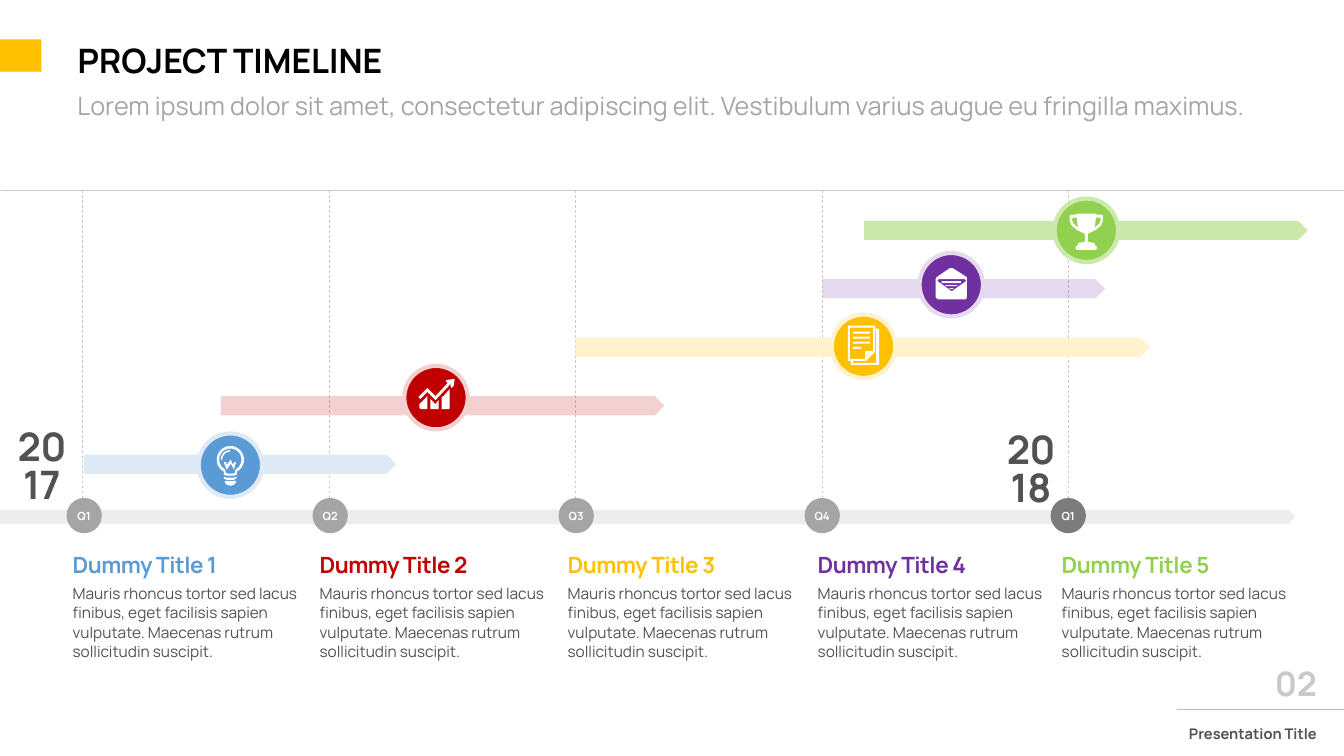
from math import cos, radians, sin

from lxml.etree import SubElement
from pptx import Presentation
from pptx.dml.color import RGBColor
from pptx.enum.dml import MSO_LINE
from pptx.enum.shapes import MSO_CONNECTOR, MSO_SHAPE
from pptx.enum.text import MSO_ANCHOR, PP_ALIGN
from pptx.oxml.ns import qn
from pptx.util import Inches, Pt

COLORS = {
    "black": "000000", "white": "FFFFFF", "text": "525252", "subtitle": "A5A5A5",
    "rule": "C9C9C9", "axis": "EDEDED", "quarter": "A5A5A5", "next_year": "7C7C7C",
    "blue": "5B9BD5", "blue_tint": "DEEBF7", "red": "C00000", "red_tint": "F4D1D1",
    "yellow": "FFC000", "yellow_tint": "FFF2CC", "purple": "7030A0",
    "purple_tint": "E5DAEE", "green": "92D050", "green_tint": "CBE9AB",
}
RGB = {name: RGBColor.from_string(value) for name, value in COLORS.items()}
BODY = ("Mauris rhoncus tortor sed lacus finibus, eget facilisis sapien vulputate. "
        "Maecenas rutrum sollicitudin suscipit.")

# Icon outlines in hundredths of an inch; inner outlines cut holes.
globe, glass, glint_out, glint_in = [
    [(13.5 + radius * cos(radians(a)), 13 + radius * sin(radians(a)))
     for a in range(start, end + 1, 8)]
    for radius, start, end in ((13.5, 118, 422), (11, 118, 422), (9.5, 180, 270), (8, 180, 270))
]
BULB = [
    globe + [(20, 28), (17, 29), (10, 29), (7, 28)],
    glass + [(18, 26), (16, 27), (11, 27), (9, 26)],
    glint_out + glint_in[::-1],
    [(16, 18), (14, 13), (10, 18), (9, 15), (7, 16), (10, 23), (14, 17), (17, 23),
     (19, 16), (18, 15)],
    [(7, 30), (10, 31), (17, 31), (20, 30), (19, 32), (17, 33), (10, 33), (7, 32)],
    [(8, 34), (19, 34), (19, 36), (17, 38), (14, 39), (10, 38), (8, 36)],
]
GROWTH = [
    [(1, 29), (3, 30), (9, 30), (9, 17), (1, 25)],
    [(12, 20), (12, 30), (20, 30), (20, 21), (17, 25)],
    [(23, 18), (23, 30), (30, 30), (31, 29), (31, 10), (25, 17)],
    [(28, 1), (27, 2), (29, 4), (30, 3), (17, 17), (9, 9), (0, 18), (2, 20), (9, 13),
     (17, 21), (32, 5), (32, 7), (33, 9), (35, 7), (36, 0)],
]
PAGES = [
    [(27, 3), (27, 0), (0, 0), (0, 35), (3, 35), (3, 39), (31, 39), (31, 3)],
    [(2, 33), (2, 2), (25, 2), (25, 25), (17, 25), (17, 33)],
    [(28, 37), (5, 37), (5, 35), (18, 35), (27, 26), (27, 5), (28, 5)],
] + [[(5, y), (right, y), (right, y + 2), (5, y + 2)]
     for y, right in ((6, 22), (11, 22), (16, 22), (21, 13))]
ENVELOPE = [
    [(31, 10), (17, 1), (14, 1), (1, 10), (0, 12), (0, 30), (2, 32), (30, 32), (31, 30)],
    [(30, 14), (16, 24), (2, 14), (2, 13), (3, 12), (29, 12), (30, 13)],
    [(11, 19), (20, 19), (22, 18), (9, 18)],
    [(16, 22), (18, 21), (13, 21)],
    [(6, 16), (25, 16), (25, 14), (6, 14)],
]
cup_left = [(7, 0), (6, 1), (1, 1), (0, 2), (0, 7), (2, 12), (7, 16), (15, 20), (15, 28),
            (9, 29), (8, 30), (8, 31), (6, 33), (6, 35), (7, 36)]
handle = [(2, 6), (2, 5), (4, 4), (7, 4), (8, 14), (4, 10)]
TROPHY = [cup_left + [(33 - x, y) for x, y in cup_left[::-1]],
          handle, [(33 - x, y) for x, y in handle]]

# Colour, bar left, bar width, bar opacity, badge corner, icon offset, icon, text left
TASKS = [
    ("blue", 0.83, 3.1, None, (1.97, 4.3), (0.18, 0.13), BULB, 0.72),
    ("red", 2.19, 4.4, 18, (4.01, 3.63), (0.14, 0.13), GROWTH, 3.17),
    ("yellow", 5.71, 5.7, None, (8.25, 3.12), (0.16, 0.11), PAGES, 5.63),
    ("purple", 8.16, 2.8, 18, (9.12, 2.51), (0.16, 0.14), ENVELOPE, 8.11),
    ("green", 8.57, 4.4, 48, (10.46, 1.97), (0.15, 0.15), TROPHY, 10.53),
]

deck = Presentation()
deck.slide_width, deck.slide_height = Inches(13.33), Inches(7.5)
slide = deck.slides.add_slide(deck.slide_layouts[5])
shapes = slide.shapes


def write(holder, words, size, color, bold=False, align=PP_ALIGN.LEFT, leading=None,
          tracking=None, margins=(0, 0), anchor=MSO_ANCHOR.TOP):
    """Fill a shape with one formatted run; margins are side and top/bottom inches."""
    frame = holder.text_frame
    frame.word_wrap = True
    frame.vertical_anchor = anchor
    frame.margin_left = frame.margin_right = Inches(margins[0])
    frame.margin_top = frame.margin_bottom = Inches(margins[1])
    paragraph = frame.paragraphs[0]
    paragraph.alignment = align
    paragraph.line_spacing = leading
    run = paragraph.add_run()
    run.text = words
    run.font.name, run.font.size, run.font.bold = "Manrope", Pt(size), bold
    run.font.color.rgb = RGB[color]
    if tracking:
        run._r.get_or_add_rPr().set("spc", str(tracking))


def add_solid(kind, box, color):
    """Add a flat preset shape without outline or shadow."""
    solid = shapes.add_shape(kind, *map(Inches, box))
    solid.shadow.inherit = False
    solid.fill.solid()
    solid.fill.fore_color.rgb = RGB[color]
    solid.line.fill.background()
    return solid


# Header and footer text
title = shapes.title
title.left, title.top, title.width, title.height = map(Inches, (0.67, 0.39, 11, 0.65))
write(title, "PROJECT TIMELINE", 24, "black", True, leading=0.9, margins=(0.1, 0.05))
add_solid(MSO_SHAPE.RECTANGLE, (0, 0.39, 0.41, 0.32), "yellow")
for box, words, size, color, bold, align, leading in (
    ((0.67, 0.88, 12.18, 0.66),
     "Lorem ipsum dolor sit amet, consectetur adipiscing elit. "
     "Vestibulum varius augue eu fringilla maximus.",
     18, "subtitle", False, PP_ALIGN.LEFT, 0.9),
    ((12.06, 6.57, 1.1, 0.65), "02", 24, "rule", True, PP_ALIGN.RIGHT, 0.9),
    ((10.6, 7.14, 2.56, 0.29), "Presentation Title", 10.5, "text", True, PP_ALIGN.RIGHT, None),
):
    write(shapes.add_textbox(*map(Inches, box)), words, size, color, bold, align, leading,
          margins=(0.1, 0.05))

# Axis and rules
add_solid(MSO_SHAPE.PENTAGON, (0, 5.06, 12.85, 0.14), "axis")
grid_lines = [(0.82 + 2.445 * i, 1.89, 0.82 + 2.445 * i, 4.98, "rule", True) for i in range(5)]
for x1, y1, x2, y2, color, dashed in grid_lines + [
    (0.01, 1.89, 13.33, 1.89, "rule", False),
    (11.67, 7.04, 13.33, 7.04, "yellow", False),
]:
    rule = shapes.add_connector(MSO_CONNECTOR.STRAIGHT, *map(Inches, (x1, y1, x2, y2)))
    rule.line.color.rgb = RGB[color]
    rule.line.width = Pt(0.5)
    if dashed:
        rule.line.dash_style = MSO_LINE.DASH
    SubElement(rule._element.spPr, qn("a:effectLst"))

for year, left, top in (("2017", 0.13, 4.28), ("2018", 9.94, 4.31)):
    write(shapes.add_textbox(*map(Inches, (left, top, 0.57, 0.75))), year, 28, "text", True,
          PP_ALIGN.CENTER, 0.8, -30)

for i, quarter in enumerate(("Q1", "Q2", "Q3", "Q4", "Q1")):
    marker = add_solid(MSO_SHAPE.OVAL, (0.66 + 2.44 * i, 4.94, 0.35, 0.35),
                       "next_year" if i == 4 else "quarter")
    write(marker, quarter, 8, "white", True, PP_ALIGN.CENTER, margins=(0, 0.05),
          anchor=MSO_ANCHOR.MIDDLE)

# Tasks: bar, badge with icon, description
for i, (color, start, length, opacity, corner, offset, icon, text_left) in enumerate(TASKS):
    bar = add_solid(MSO_SHAPE.PENTAGON, (start, 4.51 - 0.58 * i, length, 0.19),
                    color if opacity else color + "_tint")
    if opacity:
        bar_color = bar._element.spPr.find(qn("a:solidFill")).find(qn("a:srgbClr"))
        SubElement(bar_color, qn("a:alpha")).set("val", str(opacity * 1000))

    badge = add_solid(MSO_SHAPE.OVAL, (*corner, 0.63, 0.63), color)
    badge.line.color.rgb = RGB[color + "_tint"]
    badge.line.width = Pt(3)

    outlines = [[(x * 10, y * 10) for x, y in outline] for outline in icon]
    pen = shapes.build_freeform(*outlines[0][0], scale=Inches(1) / 1000)
    for outline in outlines:
        pen.move_to(*outline[0])
        pen.add_line_segments(outline[1:], close=True)
    symbol = pen.convert_to_shape(*(Inches(c + o) for c, o in zip(corner, offset)))
    symbol.shadow.inherit = False
    symbol.fill.solid()
    symbol.fill.fore_color.rgb = RGB["white"]
    symbol.line.fill.background()

    write(shapes.add_textbox(*map(Inches, (text_left, 5.47, 2.07, 0.27))),
          f"Dummy Title {i + 1}", 16, color, True, tracking=-30)
    write(shapes.add_textbox(*map(Inches, (text_left, 5.78, 2.31, 0.79))),
          BODY, 11, "text", leading=Pt(14))

deck.save("out.pptx")
